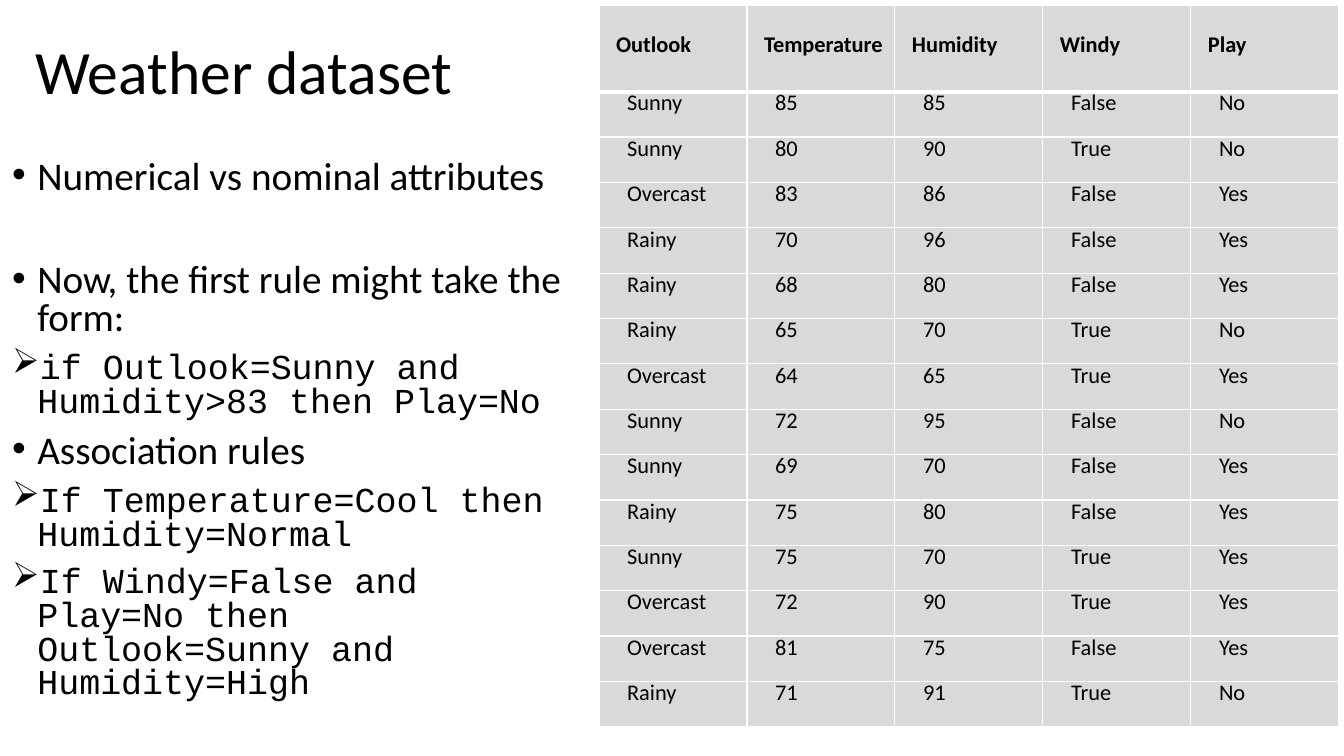
from lxml import etree
from pptx import Presentation
from pptx.dml.color import RGBColor
from pptx.enum import text
from pptx.oxml import ns
from pptx.util import Inches, Pt

BLACK = RGBColor(0x00, 0x00, 0x00)
WHITE = RGBColor(0xFF, 0xFF, 0xFF)
GREY = RGBColor(0xD9, 0xD9, 0xD9)
SANS = "Calibri"
MONO = "Courier New"

# wording, bullet, space before in points
POINTS = [
    ("Numerical vs nominal attributes", "•", 10),
    ("Now, the first rule might take the form:", "•", 47),
    ("if Outlook=Sunny and Humidity>83 then Play=No", "➢", 10),
    ("Association rules", "•", 10),
    ("If Temperature=Cool then Humidity=Normal", "➢", 10),
    ("If Windy=False and Play=No then Outlook=Sunny and Humidity=High", "➢", 10),
]

WEATHER = [
    ("Outlook", "Temperature", "Humidity", "Windy", "Play"),
    ("Sunny", 85, 85, "False", "No"),
    ("Sunny", 80, 90, "True", "No"),
    ("Overcast", 83, 86, "False", "Yes"),
    ("Rainy", 70, 96, "False", "Yes"),
    ("Rainy", 68, 80, "False", "Yes"),
    ("Rainy", 65, 70, "True", "No"),
    ("Overcast", 64, 65, "True", "Yes"),
    ("Sunny", 72, 95, "False", "No"),
    ("Sunny", 69, 70, "False", "Yes"),
    ("Rainy", 75, 80, "False", "Yes"),
    ("Sunny", 75, 70, "True", "Yes"),
    ("Overcast", 72, 90, "True", "Yes"),
    ("Overcast", 81, 75, "False", "Yes"),
    ("Rainy", 71, 91, "True", "No"),
]


def place(shape, left, top, width, height):
    shape.left, shape.top = Inches(left), Inches(top)
    shape.width, shape.height = Inches(width), Inches(height)


def add_run(paragraph, wording, size, font=SANS, bold=False):
    run = paragraph.add_run()
    run.text = wording
    run.font.name = font
    run.font.size = Pt(size)
    run.font.bold = bold
    run.font.color.rgb = BLACK


def set_bullet(paragraph, symbol):
    """Give the paragraph a hanging bullet."""
    props = paragraph._p.get_or_add_pPr()
    props.set("marL", str(Inches(0.25)))
    props.set("indent", str(-Inches(0.25)))
    face = "Arial" if symbol == "•" else "Wingdings"
    char = "Ø" if face == "Wingdings" else symbol
    etree.SubElement(props, ns.qn("a:buFont"), typeface=face)
    etree.SubElement(props, ns.qn("a:buChar"), char=char)


def set_borders(cell, top, bottom):
    """Draw white cell borders; top and bottom widths are in points."""
    props = cell._tc.get_or_add_tcPr()
    widths = {"lnL": 1, "lnR": 1, "lnT": top, "lnB": bottom}
    for position, (side, width) in enumerate(widths.items()):
        line = etree.Element(ns.qn(f"a:{side}"), w=str(Pt(width)))
        fill = etree.SubElement(line, ns.qn("a:solidFill"))
        etree.SubElement(fill, ns.qn("a:srgbClr"), val=str(WHITE))
        props.insert(position, line)


def fill_title(title):
    place(title, 0.25, 0.23, 5.03, 1.01)
    frame = title.text_frame
    frame.auto_size = text.MSO_AUTO_SIZE.NONE
    frame.vertical_anchor = text.MSO_ANCHOR.MIDDLE
    heading = frame.paragraphs[0]
    heading.alignment = text.PP_ALIGN.LEFT
    heading.line_spacing = 0.9
    add_run(heading, "Weather dataset", 44)


def fill_points(body):
    place(body, 0.02, 1.54, 5.76, 5.5)
    frame = body.text_frame
    frame.auto_size = text.MSO_AUTO_SIZE.NONE
    frame.vertical_anchor = text.MSO_ANCHOR.TOP
    for number, (wording, symbol, gap) in enumerate(POINTS):
        point = frame.add_paragraph() if number else frame.paragraphs[0]
        point.line_spacing = 0.8
        point.space_before = Pt(gap)
        set_bullet(point, symbol)
        if symbol == "➢":
            add_run(point, wording, 25, MONO)
        else:
            add_run(point, wording, 28)


def fill_cell(cell, wording, row):
    header = row == 0
    cell.fill.solid()
    cell.fill.fore_color.rgb = GREY
    set_borders(cell, 3 if row == 1 else 1, 3 if header else 1)
    cell.vertical_anchor = text.MSO_ANCHOR.MIDDLE if header else text.MSO_ANCHOR.TOP
    cell.margin_left = Inches(0.17 if header else 0.28)
    cell.margin_top = cell.margin_right = cell.margin_bottom = Inches(0.07 if header else 0.04)
    paragraph = cell.text_frame.paragraphs[0]
    paragraph.line_spacing = Pt(15.2)
    add_run(paragraph, wording, 16, bold=header)


def add_weather_table(slide):
    frame = slide.shapes.add_table(len(WEATHER), len(WEATHER[0]), Inches(5.94), Inches(0.05),
                                   Inches(7.34), Inches(7.16))
    table = frame.table
    table.horz_banding = False
    for column in table.columns:
        column.width = Inches(7.34 / len(WEATHER[0]))
    for row, values in enumerate(WEATHER):
        table.rows[row].height = Inches(0.45 if row else 0.86)
        for column, value in enumerate(values):
            fill_cell(table.cell(row, column), str(value), row)


def main():
    deck = Presentation()
    deck.slide_width, deck.slide_height = Inches(13.33), Inches(7.5)
    slide = deck.slides.add_slide(deck.slide_layouts[1])
    fill_title(slide.shapes.title)
    add_weather_table(slide)
    fill_points(slide.placeholders[1])
    deck.save("out.pptx")


if __name__ == "__main__":
    main()
